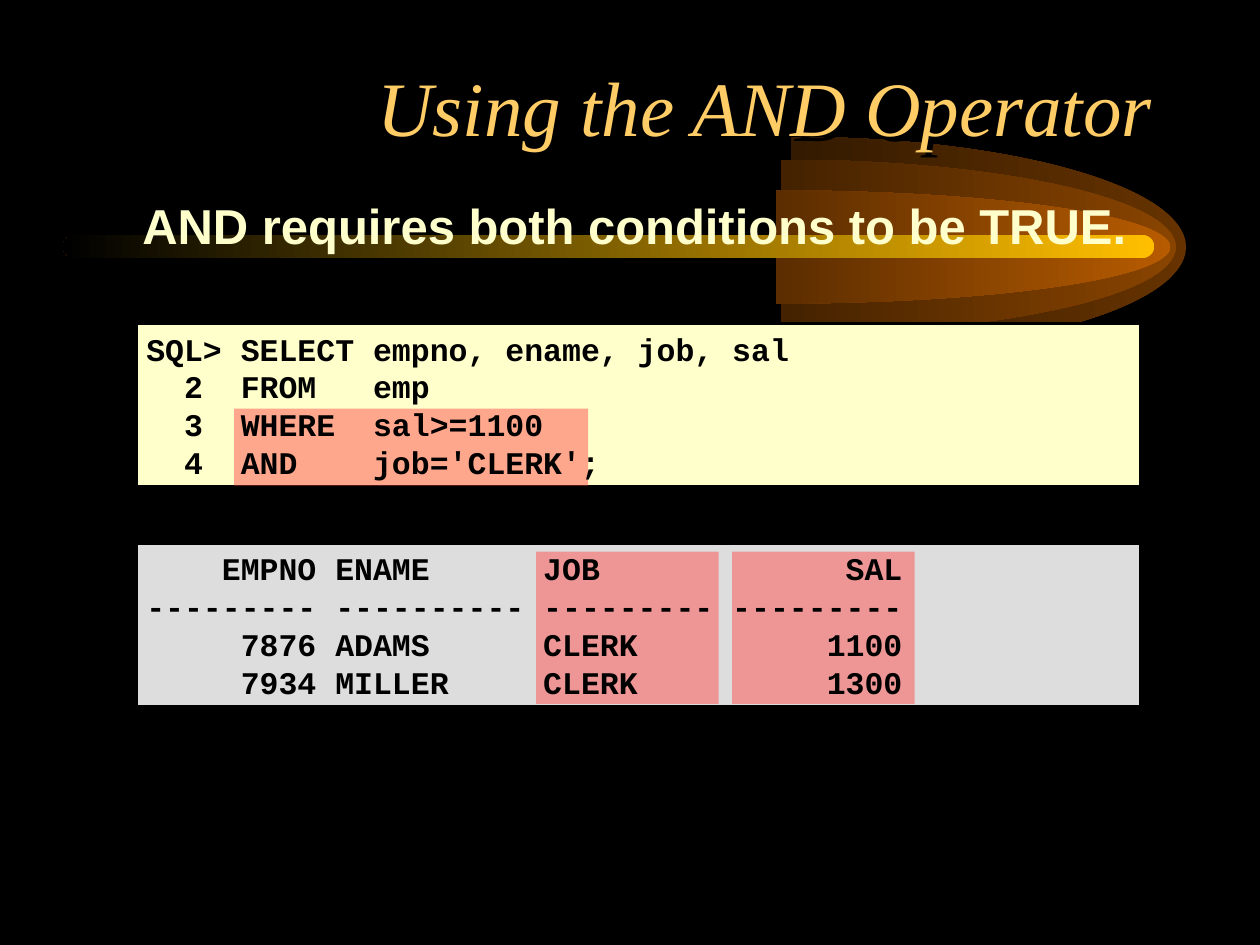
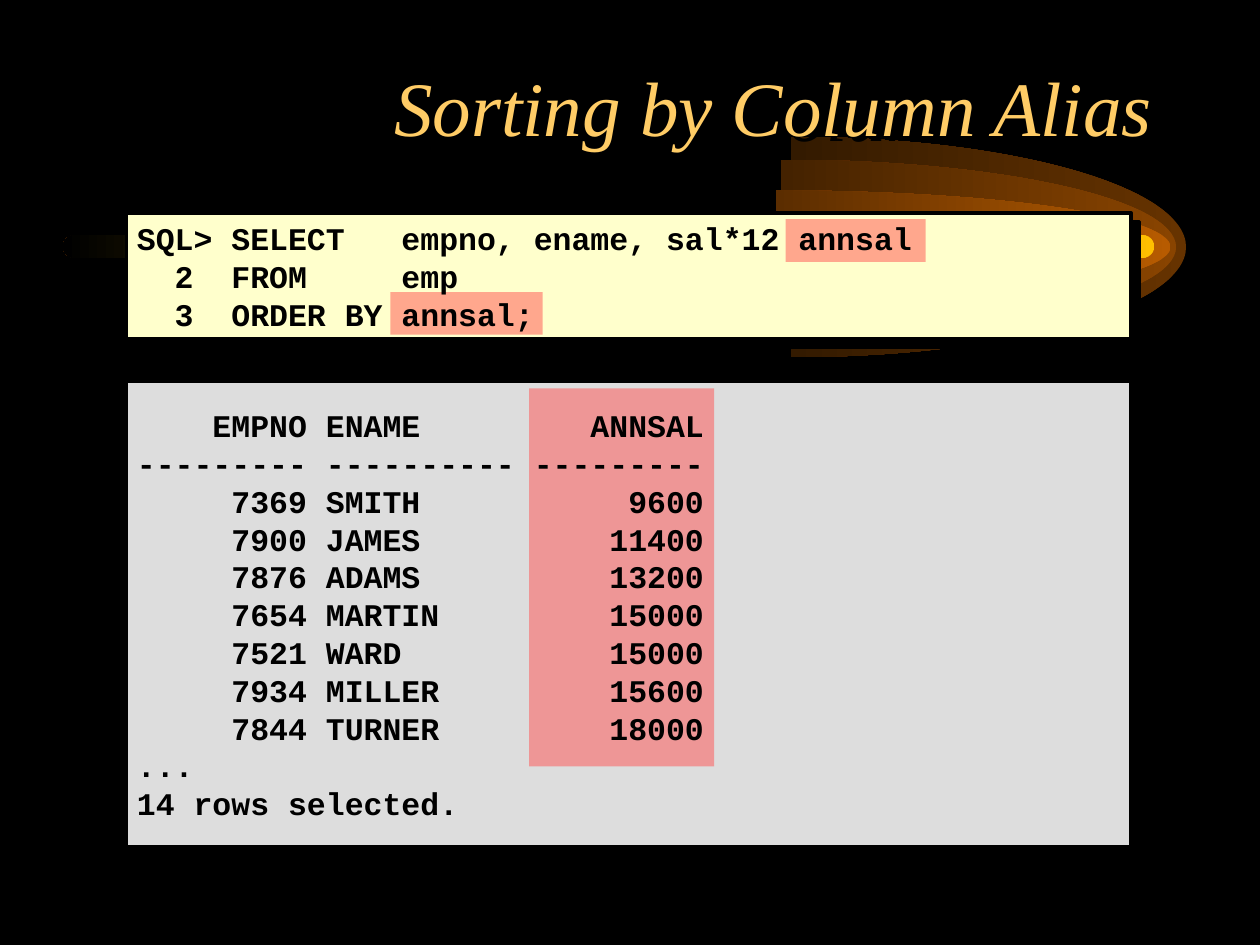
from lxml.etree import SubElement
from pptx import Presentation
from pptx.dml.color import RGBColor
from pptx.enum.shapes import MSO_SHAPE as SHAPE
from pptx.enum.text import MSO_ANCHOR as ANCHOR, PP_ALIGN as ALIGN
from pptx.oxml.ns import qn
from pptx.util import Cm, Pt

rgb = RGBColor.from_string

# Shared look
BLACK, CREAM, GREY, GOLD, RED = "000000", "FFFFCC", "DDDDDD", "FFCC66", "FF5050"
BOX_W = 20.25
COMET_Y, COMET_RX = 4.98, 7.96
COMET = [  # left, vertical radius, colour at the tip, colour at the flat side
    (15.95, 2.22, "663300", "331A00"),
    (15.75, 1.76, "894400", "442200"),
    (15.64, 1.14, "B75B00", "5B2D00"),
]
# Half ellipse as two curves, in fractions of its width and height
K = 0.55
HALF_ELLIPSE = [
    [(K, 0), (1, 0.5 - K / 2), (1, 0.5)],
    [(1, 0.5 + K / 2), (K, 1), (0, 1)],
]

# Slide content; boxes are left, top, height, fill, lines of code or output
SLIDES = [
    {
        "title": "Using the AND Operator",
        "subtitle": "AND requires both conditions to be TRUE.",
        "boxes": [
            (2.74, 6.52, 3.3, CREAM, [
                "SQL> SELECT empno, ename, job, sal",
                "  2  FROM   emp",
                "  3  WHERE  sal>=1100",
                "  4  AND    job='CLERK';",
            ]),
            (2.74, 10.95, 3.3, GREY, [
                "    EMPNO ENAME      JOB             SAL",
                "--------- ---------- --------- ---------",
                "     7876 ADAMS      CLERK          1100",
                "     7934 MILLER     CLERK          1300",
            ]),
        ],
        "highlights": [
            (4.72, 8.24, 7.14, 1.55),
            (10.81, 11.12, 3.68, 3.07),
            (14.76, 11.12, 3.68, 3.07),
        ],
    },
    {
        "title": "Sorting by Column Alias",
        "subtitle": None,
        "boxes": [
            (2.55, 4.29, 2.54, CREAM, [
                "SQL> SELECT   empno, ename, sal*12 annsal",
                "  2  FROM     emp",
                "  3  ORDER BY annsal;",
            ]),
            (2.55, 7.68, 9.4, GREY, [
                "    EMPNO ENAME         ANNSAL",
                "--------- ---------- ---------",
                "     7369 SMITH           9600",
                "     7900 JAMES          11400",
                "     7876 ADAMS          13200",
                "     7654 MARTIN         15000",
                "     7521 WARD           15000",
                "     7934 MILLER         15600",
                "     7844 TURNER         18000",
                "...",
                "14 rows selected.",
            ]),
        ],
        "highlights": [
            (7.87, 5.89, 3.07, 0.86),
            (10.67, 7.83, 3.73, 7.62),
            (15.84, 4.42, 2.82, 0.86),
        ],
    },
]


def add_shadow(sp, dist):
    sp.shadow.inherit = False
    effects = sp._element.spPr.find(qn("a:effectLst"))
    shadow = SubElement(effects, qn("a:outerShdw"), dist=str(Pt(dist)), dir="2700000")
    SubElement(shadow, qn("a:srgbClr"), val=BLACK)


def add_text(s, x, y, w, h, lines, font, size, color):
    sp = s.shapes.add_textbox(Cm(x), Cm(y), Cm(w), Cm(h))
    tf = sp.text_frame
    tf.word_wrap = True
    for i, line in enumerate(lines):
        p = tf.paragraphs[0] if i == 0 else tf.add_paragraph()
        r = p.add_run()
        r.text = line
        r.font.name, r.font.size = font, Pt(size)
        r.font.bold = True
        r.font.color.rgb = rgb(color)
    return sp


prs = Presentation()
prs.slide_width, prs.slide_height = Cm(25.4), Cm(19.05)

for content in SLIDES:
    s = prs.slides.add_slide(prs.slide_layouts[6])
    s.background.fill.solid()
    s.background.fill.fore_color.rgb = rgb(BLACK)

    # Comet: three half ellipses and a bar, fading to the left
    fades = []
    for left, ry, tip, flat in COMET:
        fb = s.shapes.build_freeform(Cm(left), Cm(COMET_Y - ry), scale=1.0)
        fb.add_line_segments([(Cm(left + COMET_RX), Cm(COMET_Y)),
                              (Cm(left), Cm(COMET_Y + ry))], close=True)
        sp = fb.convert_to_shape()
        outline = next(sp._element.iter(qn("a:path")))
        for line, curve in zip(outline.findall(qn("a:lnTo")), HALF_ELLIPSE):
            bezier = SubElement(outline, qn("a:cubicBezTo"))
            for fx, fy in curve:
                SubElement(bezier, qn("a:pt"), x=str(int(fx * sp.width)),
                           y=str(int(fy * sp.height)))
            outline.replace(line, bezier)
        fades.append((sp, tip, flat))
    bar = s.shapes.add_shape(SHAPE.ROUNDED_RECTANGLE, Cm(1.27), Cm(4.74), Cm(22), Cm(0.46))
    bar.adjustments[0] = 0.5
    fades.append((bar, "FFBF00", BLACK))
    for sp, tip, flat in fades:
        sp.shadow.inherit = False
        sp.line.fill.background()
        sp.fill.gradient()
        sp.fill.gradient_angle = 180
        for stop, color in zip(sp.fill.gradient_stops, (tip, flat)):
            stop.color.rgb = rgb(color)

    # Code and output panels
    for x, y, h, fill, lines in content["boxes"]:
        sp = s.shapes.add_shape(SHAPE.RECTANGLE, Cm(x), Cm(y), Cm(BOX_W), Cm(h))
        sp.fill.solid()
        sp.fill.fore_color.rgb = rgb(fill)
        sp.line.color.rgb = rgb(BLACK)
        sp.line.width = Pt(2)
        add_shadow(sp, 7.1)

    # Title and subtitle
    sp = add_text(s, 1.9, 1.07, 21.59, 3.18, [content["title"]], "Times New Roman", 44, GOLD)
    p = sp.text_frame.paragraphs[0]
    p.alignment = ALIGN.RIGHT
    p.runs[0].font.bold, p.runs[0].font.italic = False, True
    add_shadow(sp, 4)
    if content["subtitle"]:
        sp = add_text(s, 2.62, 3.9, 20.35, 1.37, [content["subtitle"]], "Arial", 28, CREAM)
        sp.text_frame.margin_right = 0
        sp.text_frame.paragraphs[0].line_spacing = 0.95

    # Half-transparent highlights under the code
    for x, y, w, h in content["highlights"]:
        sp = s.shapes.add_shape(SHAPE.RECTANGLE, Cm(x), Cm(y), Cm(w), Cm(h))
        sp.shadow.inherit = False
        sp.line.fill.background()
        sp.fill.solid()
        sp.fill.fore_color.rgb = rgb(RED)
        clr = sp._element.spPr.find(qn("a:solidFill")).find(qn("a:srgbClr"))
        SubElement(clr, qn("a:alpha"), val="50000")

    # Code and output text
    for x, y, h, fill, lines in content["boxes"]:
        sp = add_text(s, x - 0.04, y - 0.04, BOX_W + 0.08, h + 0.08, lines,
                      "Courier New", 18, BLACK)
        sp.text_frame.vertical_anchor = ANCHOR.MIDDLE

prs.save("out.pptx")
